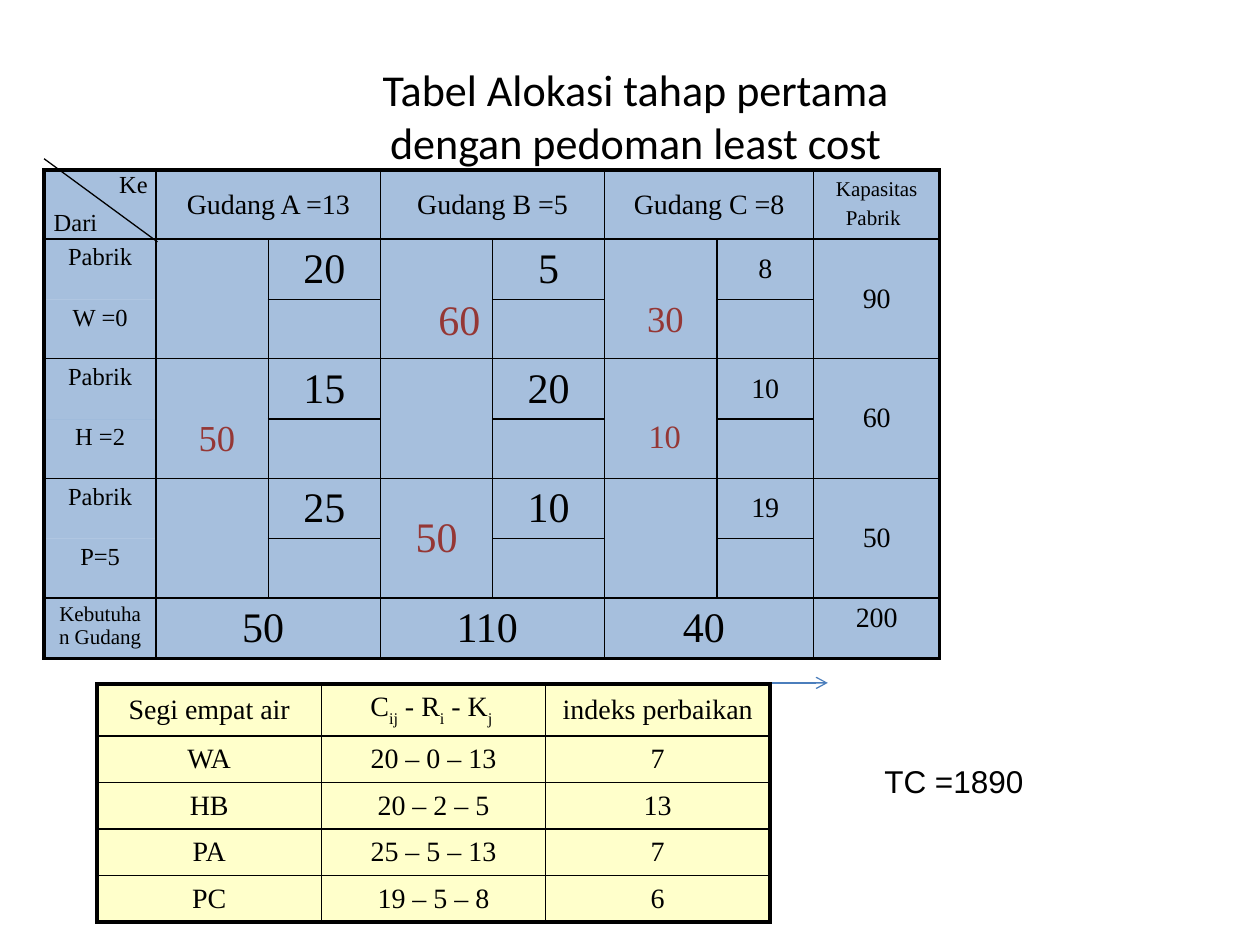
from lxml import etree
from pptx import Presentation
from pptx.dml.color import RGBColor
from pptx.enum.shapes import MSO_CONNECTOR
from pptx.enum.text import MSO_ANCHOR, PP_ALIGN
from pptx.oxml.ns import qn
from pptx.util import Inches, Pt

STRAIGHT = MSO_CONNECTOR.STRAIGHT
TOP, MIDDLE = MSO_ANCHOR.TOP, MSO_ANCHOR.MIDDLE
LEFT, CENTER = PP_ALIGN.LEFT, PP_ALIGN.CENTER

BLACK = RGBColor(0x00, 0x00, 0x00)
MAROON = RGBColor(0x95, 0x37, 0x35)
BLUE = RGBColor(0x4F, 0x81, 0xBD)
ARROW_BLUE = RGBColor(0x4B, 0x7E, 0xBC)
YELLOW = RGBColor(0xFF, 0xFF, 0x99)

SERIF = "Times New Roman"
THIN, THICK = 1, 2.25
WAREHOUSES = ["Gudang A =13", "Gudang B =5", "Gudang C =8"]
FACTORIES = [
    ("W =0", ["20", "5", "8"], "90"),
    ("H =2", ["15", "20", "10"], "60"),
    ("P=5", ["25", "10", "19"], "50"),
]
ALLOCATIONS = {
    (1, 5): (" 30", 36, -30),
    (3, 1): (" 50", 36, -30),
    (3, 5): (" 10", 32, -30),
    (5, 3): ("50", 24, 0),
}
DEMANDS = ["50 ", "110 ", "40 "]
INDEX_ROWS = [
    ("WA", "20 – 0 – 13", "7"),
    ("HB", "20 – 2 – 5", "13"),
    ("PA", "25 – 5 – 13", "7"),
    ("PC", "19 – 5 – 8", "6"),
]
INDEX_FORMULA = [("C", 0), ("ij", -30), (" - R", 0), ("i", -30), (" - K", 0), ("j ", -30)]


def write(paragraph, text, size=16, font=SERIF, color=BLACK, align=CENTER, baseline=0):
    """Append formatted text to a paragraph, with a line break at each newline."""
    paragraph.alignment = align
    for number, line in enumerate(text.split("\n")):
        if number:
            paragraph.add_line_break()
        run = paragraph.add_run()
        run.text = line
        run.font.size = Pt(size)
        run.font.name = font
        run.font.color.rgb = color
        if baseline:
            run.font._element.set("baseline", str(baseline * 1000))


def add_text(shapes, text, left, top, width, height, inset=0, anchor=TOP, **text_format):
    """Add a text box; an inset of None keeps the default margins."""
    box = shapes.add_textbox(Inches(left), Inches(top), Inches(width), Inches(height))
    frame = box.text_frame
    frame.word_wrap = True
    frame.vertical_anchor = anchor
    if inset is not None:
        frame.margin_left = frame.margin_right = Inches(inset)
        frame.margin_top = frame.margin_bottom = Inches(inset)
    write(frame.paragraphs[0], text, **text_format)


def add_line(shapes, start, end, color, arrow=False):
    """Add a thin straight line, optionally with an arrowhead at its end."""
    line = shapes.add_connector(STRAIGHT, *map(Inches, start + end))
    line.line.color.rgb = color
    line.line.width = Pt(0.75)
    if arrow:
        etree.SubElement(line.line._get_or_add_ln(), qn("a:tailEnd"), type="arrow")
    etree.SubElement(line._element.spPr, qn("a:effectLst"))


def style_cell(cell, color, borders):
    """Give a cell a half transparent fill and borders; zero width hides one."""
    cell.margin_top = cell.margin_bottom = Inches(0.04)
    cell.fill.solid()
    cell.fill.fore_color.rgb = color
    properties = cell._tc.get_or_add_tcPr()
    fill_color = properties.find(qn("a:solidFill"))[0]
    etree.SubElement(fill_color, qn("a:alpha"), val="50000")
    for index, (side, width) in enumerate(zip(("lnL", "lnR", "lnT", "lnB"), borders)):
        line = etree.Element(qn("a:" + side), w=str(Pt(width)))
        properties.insert(index, line)
        if width:
            solid = etree.SubElement(line, qn("a:solidFill"))
            etree.SubElement(solid, qn("a:srgbClr"), val=str(BLACK))
        else:
            etree.SubElement(line, qn("a:noFill"))


def add_grid(shapes, left, top, widths, heights, color, hidden_sides):
    """Add a table with a thick frame and thin inner borders, some hidden."""
    last_row, last_column = len(heights) - 1, len(widths) - 1
    table = shapes.add_table(
        len(heights), len(widths), Inches(left), Inches(top),
        Inches(sum(widths)), Inches(sum(heights))).table
    table.first_row = table.horz_banding = False
    for column, width in zip(table.columns, widths):
        column.width = Inches(width)
    for row, height in zip(table.rows, heights):
        row.height = Inches(height)
    for row in range(len(heights)):
        for column in range(len(widths)):
            edges = (column == 0, column == last_column, row == 0, row == last_row)
            hidden = hidden_sides(row, column)
            borders = [0 if side in hidden else THICK if edge else THIN
                       for side, edge in zip("LRTB", edges)]
            style_cell(table.cell(row, column), color, borders)
    return table


def allocation_hidden_sides(row, column):
    """Name the borders that the allocation table does not show."""
    hidden = ""
    inner = 1 <= row <= 6
    if inner and column in (0, 1, 3, 5, 7):
        hidden += "B" if row % 2 else "T"
    if column in (1, 3, 5):
        hidden += "R"
    if column in (2, 4, 6) and not (inner and row % 2):
        hidden += "L"
    return hidden


def fill_cell(table, row, column, text, anchor=MIDDLE, **text_format):
    """Write text into a table cell."""
    cell = table.cell(row, column)
    cell.vertical_anchor = anchor
    write(cell.text_frame.paragraphs[0], text, **text_format)


def add_allocation_table(shapes):
    """Add the table of factories, warehouses, costs and allocations."""
    table = add_grid(shapes, 0.35, 1.35, [0.89] * 6 + [0.77, 1], [0.53] + [0.47] * 7,
                     BLUE, allocation_hidden_sides)
    for index, (warehouse, demand) in enumerate(zip(WAREHOUSES, DEMANDS)):
        column = 1 + 2 * index
        for row, text, size in ((0, warehouse, 16), (7, demand, 24)):
            table.cell(row, column).merge(table.cell(row, column + 1))
            fill_cell(table, row, column, text, size=size)
    for index, (name, costs, capacity) in enumerate(FACTORIES):
        row = 1 + 2 * index
        for column in (1, 3, 5, 7):
            table.cell(row, column).merge(table.cell(row + 1, column))
        fill_cell(table, row, 0, "Pabrik", TOP, size=14)
        fill_cell(table, row + 1, 0, name, TOP, size=14)
        for column, cost, size in zip((2, 4, 6), costs, (24, 24, 16)):
            fill_cell(table, row, column, cost, size=size)
        fill_cell(table, row, 7, capacity)
    for (row, column), (text, size, baseline) in ALLOCATIONS.items():
        fill_cell(table, row, column, text, size=size, color=MAROON, baseline=baseline)
    fill_cell(table, 0, 7, "Kapasitas Pabrik", size=12)
    fill_cell(table, 0, 7, " ")
    fill_cell(table, 7, 0, "Kebutuhan Gudang", TOP, size=12)
    fill_cell(table, 7, 7, "200", TOP)


def add_corner_labels(shapes):
    """Add the grouped diagonal and labels of the table's corner cell."""
    corner = shapes.add_group_shape().shapes
    add_text(corner, "Ke", 0.88, 1.34, 0.36, 0.24, size=14)
    add_line(corner, (0.35, 1.26), (1.25, 1.92), BLACK)
    add_text(corner, "Dari", 0.33, 1.64, 0.54, 0.24, size=14)


def add_index_table(shapes):
    """Add the table of improvement indices."""
    table = add_grid(shapes, 0.77, 5.43, [1.78] * 3, [0.41] + [0.37] * 4,
                     YELLOW, lambda row, column: "")
    fill_cell(table, 0, 0, "Segi empat air")
    for text, baseline in INDEX_FORMULA:
        fill_cell(table, 0, 1, text, baseline=baseline)
    fill_cell(table, 0, 2, "indeks perbaikan")
    for row, texts in enumerate(INDEX_ROWS, 1):
        for column, text in enumerate(texts):
            fill_cell(table, row, column, text)


def main():
    """Build the slide and save it."""
    presentation = Presentation()
    presentation.slide_width, presentation.slide_height = Inches(10), Inches(7.5)
    shapes = presentation.slides.add_slide(presentation.slide_layouts[6]).shapes
    add_text(shapes, "Tabel Alokasi tahap pertama \ndengan pedoman least cost ",
             0.5, 0.53, 9.17, 0.77, inset=None, anchor=MIDDLE, size=25.2, font="Calibri")
    add_allocation_table(shapes)
    add_corner_labels(shapes)
    add_text(shapes, "60", 3.48, 2.33, 0.42, 0.4, size=24, color=MAROON, align=LEFT)
    add_line(shapes, (4.27, 5.42), (6.57, 5.42), ARROW_BLUE, arrow=True)
    add_index_table(shapes)
    add_text(shapes, "TC =1890", 6.92, 6, 1.42, 0.4, inset=None, size=18,
             font="Arial", align=LEFT)
    presentation.save("out.pptx")


if __name__ == "__main__":
    main()
